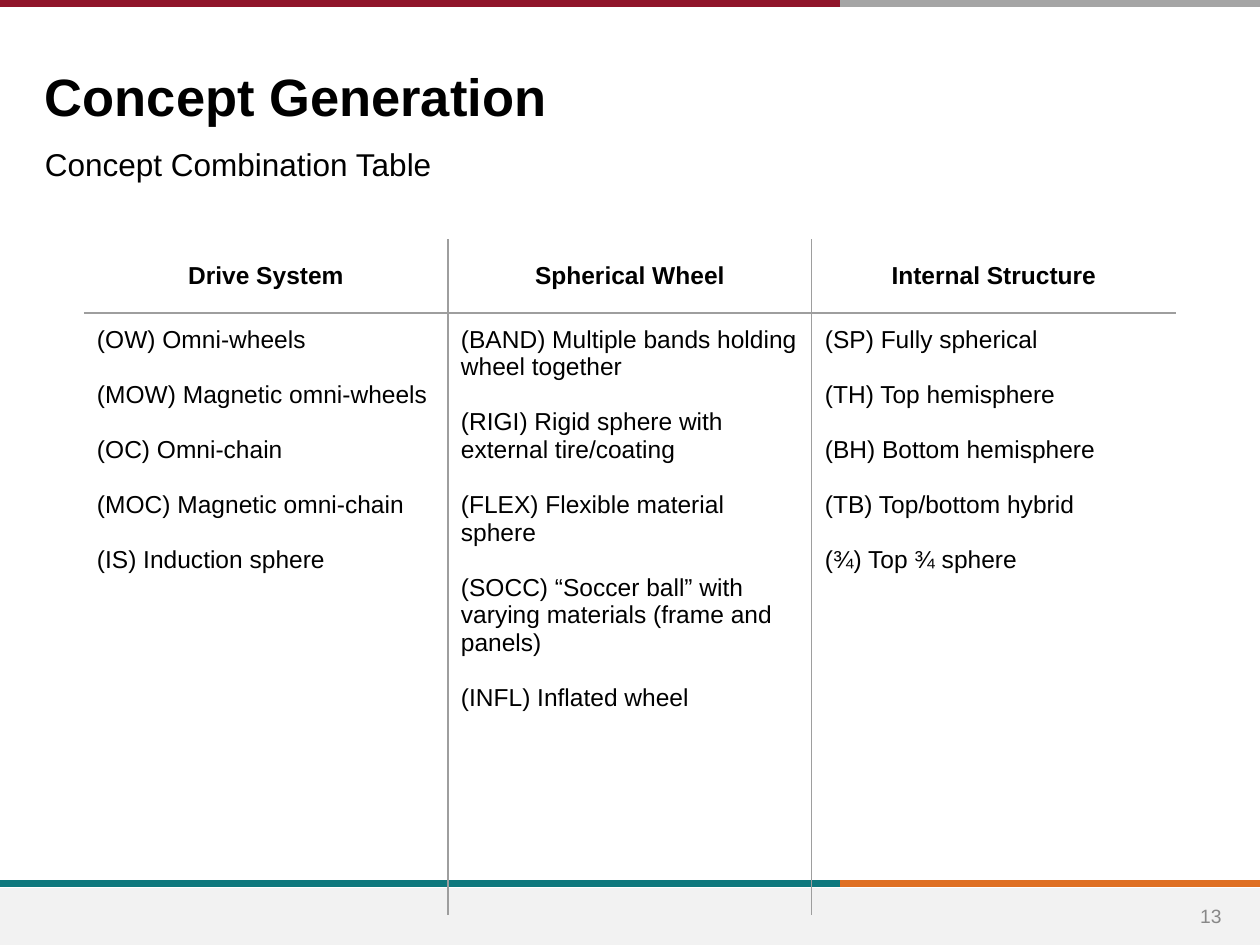
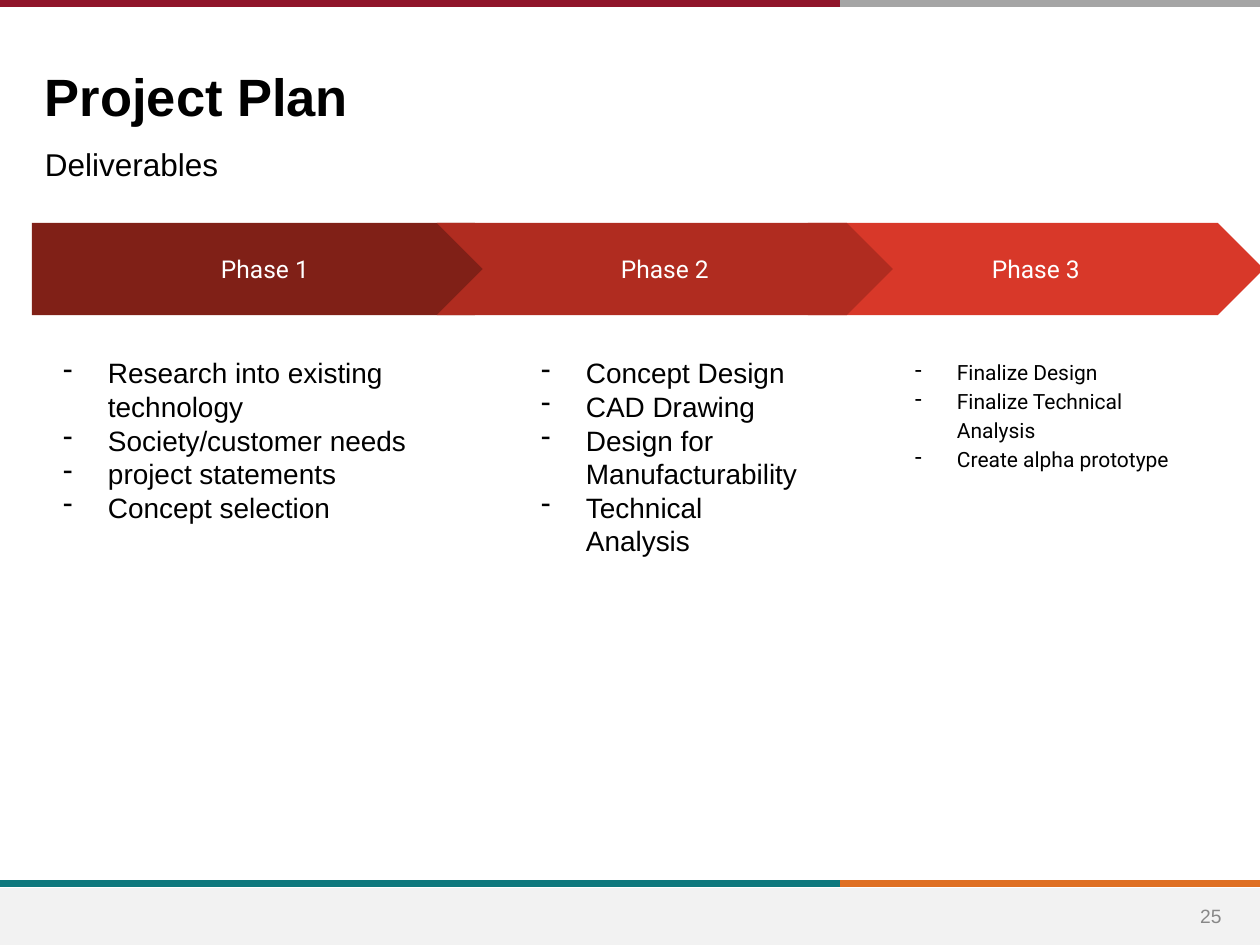
from lxml.etree import SubElement
from pptx import Presentation
from pptx.dml.color import RGBColor
from pptx.enum.shapes import MSO_CONNECTOR, MSO_SHAPE
from pptx.enum.text import MSO_ANCHOR, PP_ALIGN
from pptx.oxml.ns import qn
from pptx.util import Pt

COLORS = {
    "black": "000000", "white": "FFFFFF", "number": "888888",
    "footer": "F2F2F2", "grid": "9E9E9E",
    "maroon": "90152A", "gray": "A5A5A5", "teal": "0F787D", "orange": "DF7023",
    "phase1": "802017", "phase2": "B02C20", "phase3": "D83829",
}

CONCEPTS = {
    "Drive System": [
        "(OW) Omni-wheels",
        "(MOW) Magnetic omni-wheels",
        "(OC) Omni-chain",
        "(MOC) Magnetic omni-chain",
        "(IS) Induction sphere",
    ],
    "Spherical Wheel": [
        "(BAND) Multiple bands holding wheel together",
        "(RIGI) Rigid sphere with external tire/coating",
        "(FLEX) Flexible material sphere",
        "(SOCC) “Soccer ball” with varying materials (frame and panels)",
        "(INFL) Inflated wheel",
    ],
    "Internal Structure": [
        "(SP) Fully spherical",
        "(TH) Top hemisphere",
        "(BH) Bottom hemisphere",
        "(TB) Top/bottom hybrid",
        "(¾) Top ¾ sphere",
    ],
}

PHASES = [
    ("Phase 1", ["Research into existing technology", "Society/customer needs",
                 "project statements", "Concept selection"]),
    ("Phase 2", ["Concept Design", "CAD Drawing",
                 "Design for Manufacturability", "Technical Analysis"]),
    ("Phase 3", ["Finalize Design", "Finalize Technical Analysis",
                 "Create alpha prototype"]),
]

TITLE = {"size": 30, "bold": True}
SUBTITLE = {"size": 18}
NUMBER = {"size": 11, "color": "number"}
HEADER = {"size": 14, "bold": True}
CELL = {"size": 14}
PHASE = {"size": 14, "name": "Roboto", "color": "white"}
TASK = {"size": 16}
LAST_TASK = {"size": 12, "name": "Roboto"}

PX = 914400 // 126
WIDTH, HEIGHT = 1260, 945
SPLIT = 840
MARGIN = 32
CELL_INSET = 13


def px(*values):
    return [round(v * PX) for v in values]


def rgb(name):
    return RGBColor.from_string(COLORS[name])


def style_run(r, fmt):
    values = {"name": "Arial", "size": 14, "bold": False, "color": "black", **fmt}
    r.font.color.rgb = rgb(values.pop("color"))
    values["size"] = Pt(values["size"])
    for key, value in values.items():
        setattr(r.font, key, value)


def add_dash(p, indent):
    pPr = p._p.get_or_add_pPr()
    pPr.set("marL", str(63 * PX))
    pPr.set("indent", str(-indent * PX))
    clr = SubElement(pPr, qn("a:buClr"))
    SubElement(clr, qn("a:srgbClr"), val=COLORS["black"])
    SubElement(pPr, qn("a:buChar"), char="-")


def write(tf, lines, fmt, align=PP_ALIGN.LEFT, gap=0, dash=0, spacing=None):
    for i, line in enumerate(lines):
        p = tf.paragraphs[0] if i == 0 else tf.add_paragraph()
        if dash:
            add_dash(p, dash)
        p.alignment = align
        if spacing:
            p.line_spacing = spacing
        if gap and i:
            p.space_before = Pt(gap)
        r = p.add_run()
        r.text = line
        style_run(r, fmt)


def set_frame(tf, inset, anchor):
    side, edge = px(CELL_INSET, inset)
    frame = {"word_wrap": True, "vertical_anchor": anchor,
             "margin_left": side, "margin_right": side,
             "margin_top": edge, "margin_bottom": edge}
    for key, value in frame.items():
        setattr(tf, key, value)


def add_text(s, box, lines, fmt, inset=6, anchor=MSO_ANCHOR.TOP, **layout):
    tf = s.shapes.add_textbox(*px(*box)).text_frame
    set_frame(tf, inset, anchor)
    write(tf, lines, fmt, **layout)


def add_block(s, kind, box, color):
    sp = s.shapes.add_shape(kind, *px(*box))
    sp.shadow.inherit = False
    sp.fill.solid()
    sp.fill.fore_color.rgb = rgb(color)
    sp.line.fill.background()
    return sp


def add_band(s, y, left_color, right_color):
    for x1, x2, color in ((SPLIT, WIDTH, right_color), (0, SPLIT, left_color)):
        line = s.shapes.add_connector(MSO_CONNECTOR.STRAIGHT, *px(x1, y, x2, y))
        line.line.color.rgb = rgb(color)
        line.line.width = Pt(4)
        SubElement(line._element.spPr, qn("a:effectLst"))


def add_base(prs, title, subtitle, number):
    s = prs.slides.add_slide(prs.slide_layouts[6])
    add_band(s, 884, "teal", "orange")
    add_block(s, MSO_SHAPE.RECTANGLE, (0, 888, WIDTH, 57), "footer")
    add_band(s, 4, "maroon", "gray")
    add_text(s, (1178, 891, 66, 50), [number], NUMBER,
             anchor=MSO_ANCHOR.MIDDLE, align=PP_ALIGN.CENTER)
    add_text(s, (MARGIN, 58, 1007, 74), [title], TITLE)
    add_text(s, (MARGIN, 139, 1198, 57), [subtitle], SUBTITLE)
    return s


def set_borders(cell, shown):
    tcPr = cell._tc.get_or_add_tcPr()
    for side in "LRTB":
        ln = SubElement(tcPr, qn(f"a:ln{side}"), w=str(Pt(0.75)))
        if side in shown:
            fill = SubElement(ln, qn("a:solidFill"))
            SubElement(fill, qn("a:srgbClr"), val=COLORS["grid"])
        else:
            SubElement(ln, qn("a:noFill"))
    cell.fill.background()


def add_concept_table(s):
    rows, col_w = (74, 602), 364
    count = len(CONCEPTS)
    box = px(84, 239, col_w * count, sum(rows))
    table = s.shapes.add_table(len(rows), count, *box).table
    for row, height in zip(table.rows, px(*rows)):
        row.height = height
    for c, (header, options) in enumerate(CONCEPTS.items()):
        table.columns[c].width = col_w * PX
        inner = ("L" if c else "") + ("R" if c < count - 1 else "")
        top, body = table.cell(0, c), table.cell(1, c)
        for cell, edge, anchor in ((top, "B", MSO_ANCHOR.MIDDLE),
                                   (body, "T", MSO_ANCHOR.TOP)):
            set_borders(cell, inner + edge)
            cell.vertical_anchor = anchor
            for side in ("left", "right", "top", "bottom"):
                setattr(cell, f"margin_{side}", CELL_INSET * PX)
        write(top.text_frame, [header], HEADER, align=PP_ALIGN.CENTER)
        write(body.text_frame, options, CELL, gap=15.75)


def add_phases(s):
    first_chevron, step, text_offset = 437, 371, 73
    for i in (2, 0, 1):
        name, tasks = PHASES[i]
        x = first_chevron + step * (i - 1)
        if i == 0:
            kind, arrow_x, arrow_w, text_x, text_w = (
                MSO_SHAPE.PENTAGON, MARGIN, 489, MARGIN, 398)
        else:
            kind, arrow_x, arrow_w, text_x, text_w = (
                MSO_SHAPE.CHEVRON, x, 456, x + text_offset, 309)
        sp = add_block(s, kind, (arrow_x, 223, arrow_w, 92), f"phase{i + 1}")
        sp.adjustments[0] = 0.5
        set_frame(sp.text_frame, CELL_INSET, MSO_ANCHOR.MIDDLE)
        write(sp.text_frame, [name], PHASE, align=PP_ALIGN.CENTER)
        last = i == len(PHASES) - 1
        add_text(s, (text_x, 343, text_w, 360), tasks,
                 LAST_TASK if last else TASK, inset=CELL_INSET,
                 dash=42 if last else 45, spacing=1.15 if last else None)


def main():
    prs = Presentation()
    prs.slide_width, prs.slide_height = px(WIDTH, HEIGHT)
    add_concept_table(add_base(prs, "Concept Generation",
                               "Concept Combination Table", "13"))
    add_phases(add_base(prs, "Project Plan", "Deliverables", "25"))
    prs.save("out.pptx")


if __name__ == "__main__":
    main()
